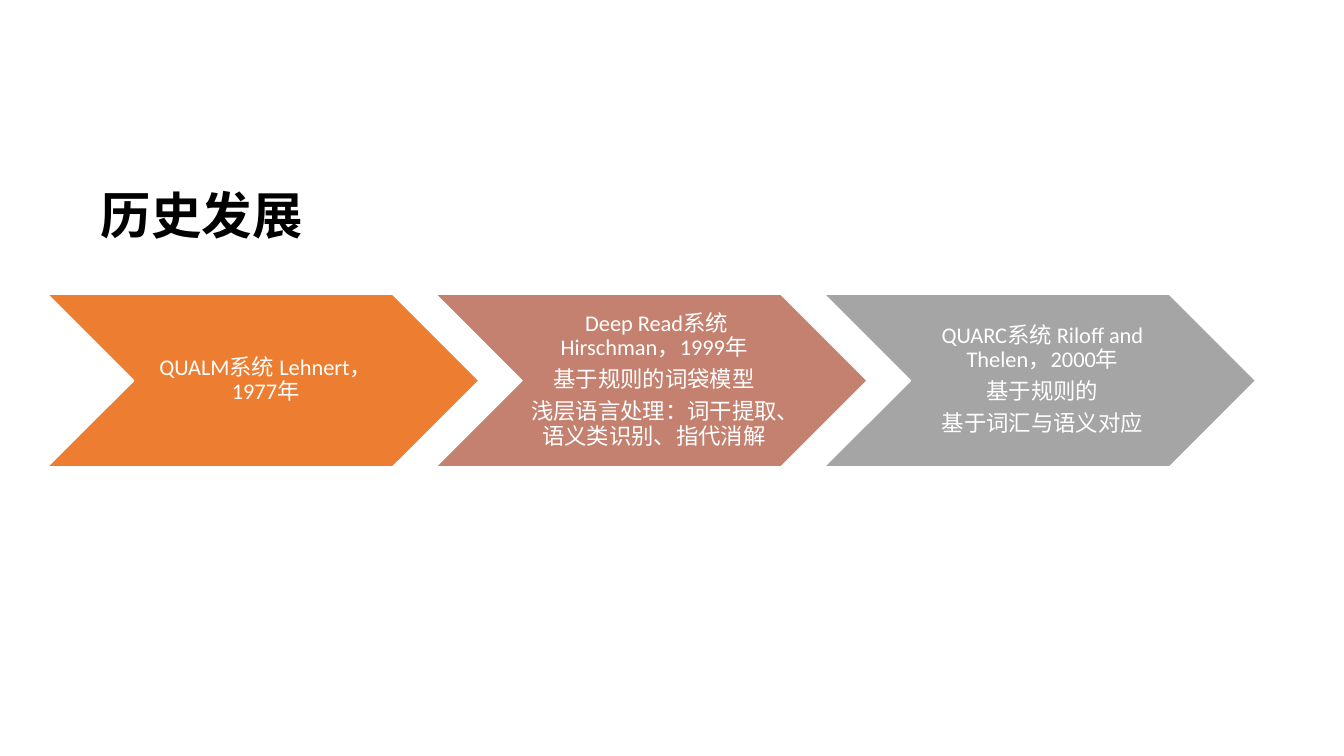
import pptx
import pptx.util
import pptx.dml.color
import pptx.enum.shapes
import pptx.enum.text
import pptx.oxml
import pptx.oxml.ns

COLORS = {
    "title": "000000",
    "text": "FFFFFF",
    "outline": "FFFFFF",
    "QUALM": "ED7D31",
    "Deep Read": "C48170",
    "QUARC": "A5A5A5",
}
STAGES = {
    "QUALM": ["QUALM系统 Lehnert，1977年"],
    "Deep Read": [
        " Deep Read系统 Hirschman，1999年",
        "基于规则的词袋模型",
        "浅层语言处理：词干提取、语义类识别、指代消解",
    ],
    "QUARC": [
        "QUARC系统 Riloff and Thelen，2000年",
        "基于规则的",
        "基于词汇与语义对应",
    ],
}
CHEVRON_WIDTH = 4.28
CHEVRON_HEIGHT = CHEVRON_WIDTH * 0.4
CHEVRON_STEP = CHEVRON_WIDTH * 0.9
CHEVRON_LEFT, CHEVRON_TOP = 0.47, 2.92


def apply_format(target, values):
    for name, value in values.items():
        setattr(target, name, value)


def format_run(run, font_name, size, color, bold):
    apply_format(run.font, {"name": font_name, "size": pptx.util.Pt(size), "bold": bold})
    run.font.color.rgb = pptx.dml.color.RGBColor.from_string(COLORS[color])
    east_asian = pptx.oxml.parse_xml(
        f'<a:ea {pptx.oxml.ns.nsdecls("a")} typeface="Noto Sans CJK SC"/>'
    )
    run.font._element.find(pptx.oxml.ns.qn("a:latin")).addnext(east_asian)


presentation = pptx.Presentation()
presentation.slide_width = pptx.util.Inches(13.33)
presentation.slide_height = pptx.util.Inches(7.5)
slide = presentation.slides.add_slide(presentation.slide_layouts[5])

title = slide.shapes.title
apply_format(title, {
    "left": pptx.util.Inches(0.9),
    "top": pptx.util.Inches(1.78),
    "width": pptx.util.Inches(2.46),
    "height": pptx.util.Inches(0.71),
})
title.text_frame.text = "历史发展"
title.text_frame.vertical_anchor = pptx.enum.text.MSO_ANCHOR.TOP
title_paragraph = title.text_frame.paragraphs[0]
title_paragraph.alignment = pptx.enum.text.PP_ALIGN.LEFT
format_run(title_paragraph.runs[0], "Noto Sans CJK SC", 36, "title", True)

for column, (system, lines) in enumerate(STAGES.items()):
    chevron = slide.shapes.add_shape(
        pptx.enum.shapes.MSO_SHAPE.CHEVRON,
        pptx.util.Inches(CHEVRON_LEFT + column * CHEVRON_STEP),
        pptx.util.Inches(CHEVRON_TOP),
        pptx.util.Inches(CHEVRON_WIDTH),
        pptx.util.Inches(CHEVRON_HEIGHT),
    )
    chevron.shadow.inherit = False
    chevron.fill.solid()
    chevron.fill.fore_color.rgb = pptx.dml.color.RGBColor.from_string(COLORS[system])
    chevron.line.color.rgb = pptx.dml.color.RGBColor.from_string(COLORS["outline"])
    chevron.line.width = pptx.util.Pt(1)

    frame = chevron.text_frame
    apply_format(frame, {
        "text": "\n".join(lines),
        "word_wrap": True,
        "vertical_anchor": pptx.enum.text.MSO_ANCHOR.MIDDLE,
        "margin_left": pptx.util.Inches(0.07),
        "margin_top": pptx.util.Inches(0.02),
        "margin_right": pptx.util.Inches(0.02),
        "margin_bottom": pptx.util.Inches(0.02),
    })
    for paragraph in frame.paragraphs:
        apply_format(paragraph, {
            "alignment": pptx.enum.text.PP_ALIGN.CENTER,
            "line_spacing": 0.9,
            "space_after": pptx.util.Pt(5.6),
        })
        format_run(paragraph.runs[0], "Calibri", 16, "text", False)

presentation.save("out.pptx")
